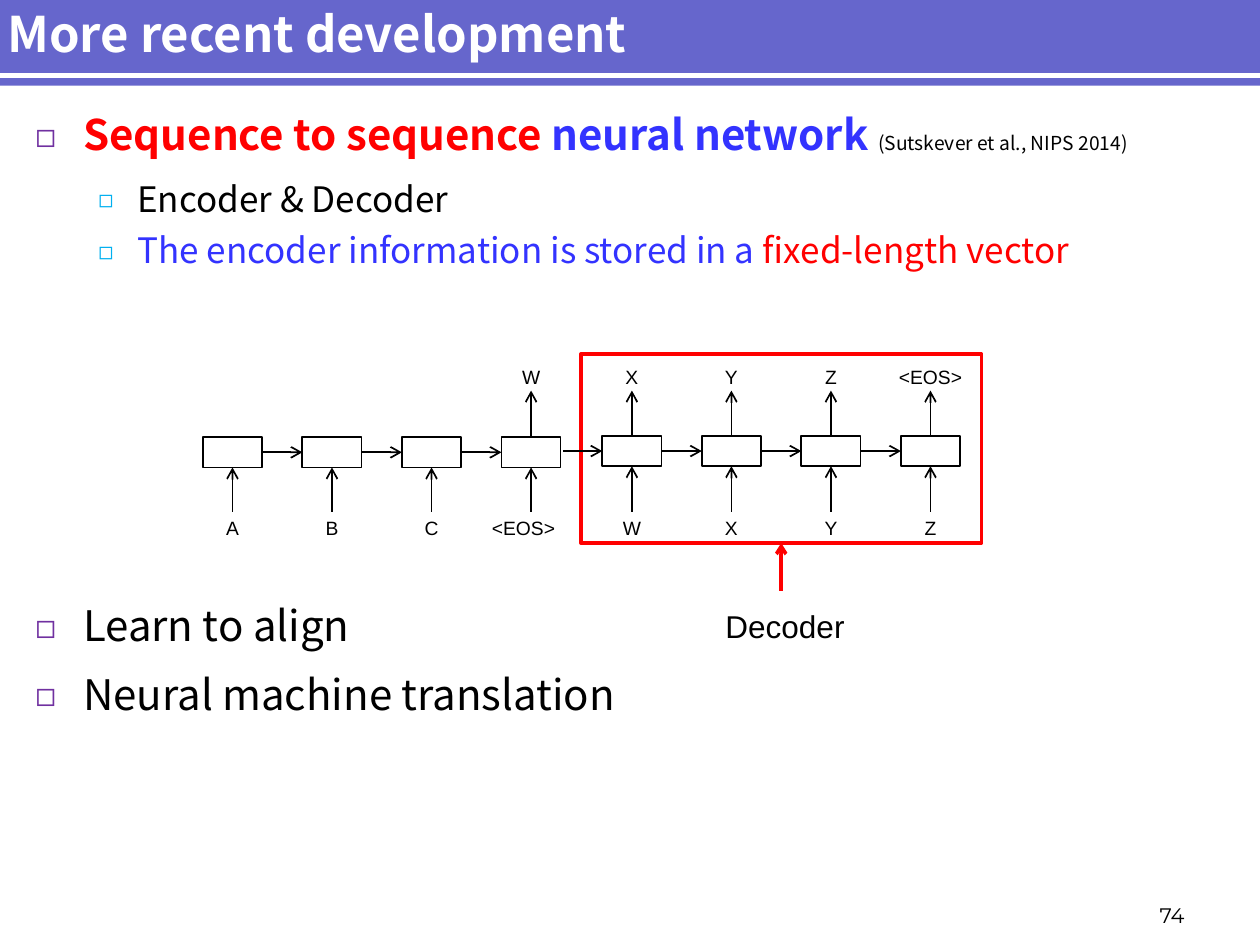
"""Build the slide on sequence to sequence networks with an unrolled encoder and decoder."""
from lxml import etree
from pptx import Presentation
from pptx.dml.color import RGBColor
from pptx.enum.shapes import MSO_CONNECTOR as CONNECTOR, MSO_SHAPE as SHAPE
from pptx.enum.text import MSO_ANCHOR as ANCHOR, MSO_AUTO_SIZE as AUTO_SIZE, PP_ALIGN as ALIGN
from pptx.oxml.ns import qn
from pptx.util import Inches, Pt

PURPLE = RGBColor(0x66, 0x66, 0xCC)
WHITE = RGBColor(0xFF, 0xFF, 0xFF)
BLACK = RGBColor(0, 0, 0)
RED = RGBColor(0xFF, 0, 0)
BLUE = RGBColor(0x33, 0x33, 0xFF)
HEADING_FONT = "Noto Sans CJK SC"
BOX_WIDTH, BOX_HEIGHT, BOX_STEP = 0.47, 0.24, 0.79


def add_line(shapes, start, end, color, width, arrow=True):
    line = shapes.add_connector(CONNECTOR.STRAIGHT, *map(Inches, start + end))
    line.line.color.rgb = color
    line.line.width = Pt(width)
    if arrow:
        etree.SubElement(line.line._get_or_add_ln(), qn("a:tailEnd"), type="arrow")
    etree.SubElement(line._element.spPr, qn("a:effectLst"))
    return line


def add_label(shapes, text, left, top, width, height, size, font="Arial", align=ALIGN.CENTER):
    label = shapes.add_textbox(*map(Inches, (left, top, width, height)))
    label.text_frame.word_wrap = True
    label.text_frame.text = text
    paragraph = label.text_frame.paragraphs[0]
    paragraph.alignment = align
    run_font = paragraph.runs[0].font
    run_font.name, run_font.size, run_font.color.rgb = font, Pt(size), BLACK
    return label


presentation = Presentation()
presentation.slide_width, presentation.slide_height = Inches(10), Inches(7.5)
slide = presentation.slides.add_slide(presentation.slide_layouts[1])
shapes = slide.shapes
title, body = shapes.title, slide.placeholders[1]

header = shapes.add_shape(SHAPE.RECTANGLE, Inches(-0.04), Inches(-0.03), Inches(10.04), Inches(0.71))
header.shadow.inherit = False
header.fill.solid()
header.fill.fore_color.rgb = PURPLE
header.line.fill.background()
header_rule = add_line(shapes, (-0.04, 0.6), (10, 0.6), WHITE, 3, arrow=False)
for shape in (header, header_rule):
    title.element.addprevious(shape.element)

title.left, title.top, title.width, title.height = map(Inches, (-0.04, 0.05, 10.55, 0.43))
title.text_frame.text = "More recent development"
title.text_frame.auto_size = AUTO_SIZE.NONE
title.text_frame.vertical_anchor = ANCHOR.MIDDLE
paragraph = title.text_frame.paragraphs[0]
paragraph.alignment = ALIGN.LEFT
font = paragraph.runs[0].font
font.name, font.size, font.bold, font.color.rgb = HEADING_FONT, Pt(28), True, WHITE

body.left, body.top, body.width, body.height = map(Inches, (0.18, 0.86, 9.45, 6.14))
frame = body.text_frame
frame.auto_size = AUTO_SIZE.NONE
frame.margin_top = 0
LEVELS = [(0.38, 0.38, "7030A0", 80), (0.81, 0.31, "00B0F0", 70)]
POINTS = [
    (0, 0, [("Sequence to sequence ", 24, RED, True), ("neural network ", 24, BLUE, True),
            ("(Sutskever et al., NIPS 2014)", 11, BLACK, False)]),
    (1, 10.5, [("Encoder & Decoder", 20, BLACK, False)]),
    (1, 5.3, [("The encoder information is stored in a ", 20, BLUE, False),
              ("fixed-length vector", 20, RED, False)]),
    (0, 188, [("Learn to align", 24, BLACK, False)]),
    (0, 10.4, [("Neural machine translation", 24, BLACK, False)]),
]
for index, (level, space_before, runs) in enumerate(POINTS):
    paragraph = frame.add_paragraph() if index else frame.paragraphs[0]
    paragraph.level = level
    paragraph.line_spacing = 1.0
    paragraph.space_before, paragraph.space_after = Pt(space_before), Pt(0)
    margin, hanging, bullet_color, bullet_size = LEVELS[level]
    properties = paragraph._p.get_or_add_pPr()
    properties.set("marL", str(Inches(margin)))
    properties.set("indent", str(-Inches(hanging)))
    color = etree.SubElement(properties, qn("a:buClr"))
    etree.SubElement(color, qn("a:srgbClr"), val=bullet_color)
    etree.SubElement(properties, qn("a:buSzPct"), val=str(bullet_size * 1000))
    etree.SubElement(properties, qn("a:buFont"), typeface=HEADING_FONT)
    etree.SubElement(properties, qn("a:buChar"), char="◻")
    for text, size, text_color, bold in runs:
        run = paragraph.add_run()
        run.text = text
        font = run.font
        font.name, font.size, font.bold, font.color.rgb = HEADING_FONT, Pt(size), bold, text_color

page_number = add_label(shapes, "74", 8.62, 7.06, 0.88, 0.35, 12, "Montserrat", ALIGN.RIGHT)
page_number.text_frame.vertical_anchor = ANCHOR.BOTTOM

decoder_frame = shapes.add_shape(SHAPE.RECTANGLE, Inches(4.61), Inches(2.81), Inches(3.18), Inches(1.5))
decoder_frame.shadow.inherit = False
decoder_frame.fill.background()
decoder_frame.line.color.rgb = RED
decoder_frame.line.width = Pt(2)
decoder_arrow = add_line(shapes, (6.2, 4.69), (6.2, 4.31), RED, 2)
decoder_arrow.end_connect(decoder_frame, 2)
add_label(shapes, "Decoder", 5.66, 4.77, 1.34, 0.4, 18, align=ALIGN.LEFT)

HALVES = [
    (1.61, 3.47, [("A", ""), ("B", ""), ("C", ""), ("<EOS>", "W")]),
    (4.78, 3.46, [("W", "X"), ("X", "Y"), ("Y", "Z"), ("Z", "<EOS>")]),
]
for first_left, top, steps in HALVES:
    previous = None
    for index, (input_token, output_token) in enumerate(steps):
        left = first_left + index * BOX_STEP
        center, middle = left + BOX_WIDTH / 2, top + BOX_HEIGHT / 2
        box = shapes.add_shape(SHAPE.RECTANGLE, *map(Inches, (left, top, BOX_WIDTH, BOX_HEIGHT)))
        box.shadow.inherit = False
        box.fill.background()
        box.line.color.rgb = BLACK
        box.line.width = Pt(1)
        if previous or first_left > 4:
            link = add_line(shapes, (left - 0.31, middle), (left, middle), BLACK, 1)
            link.end_connect(box, 1)
            if previous:
                link.begin_connect(previous, 3)
        input_arrow = add_line(shapes, (center, 4.06), (center, top + BOX_HEIGHT), BLACK, 1)
        input_arrow.end_connect(box, 2)
        input_center = center - 0.06 if input_token == "<EOS>" else center
        add_label(shapes, input_token, input_center - 0.39, 4.05, 0.78, 0.29, 11)
        if output_token:
            output_arrow = add_line(shapes, (center, top), (center, 3.1), BLACK, 1)
            output_arrow.begin_connect(box, 0)
            add_label(shapes, output_token, center - 0.39, 2.85, 0.78, 0.29, 11)
        previous = box

presentation.save("out.pptx")
